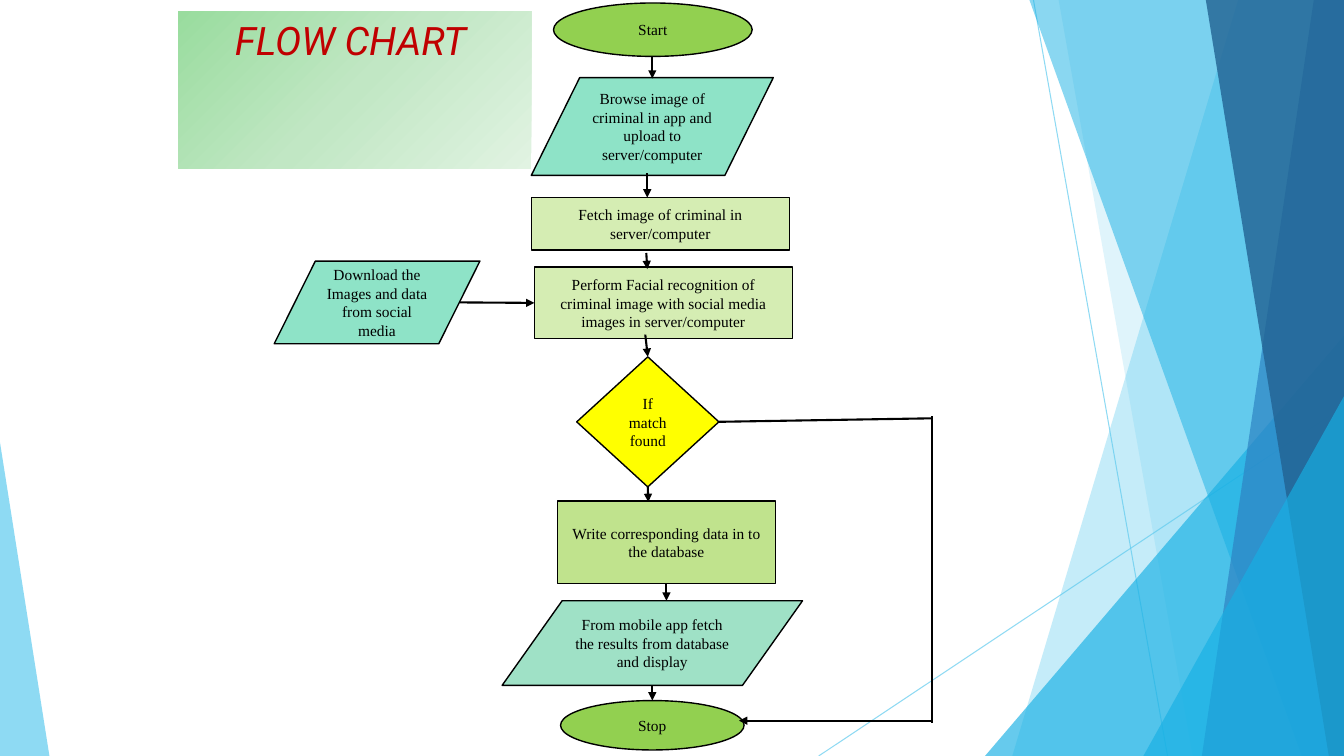
from dataclasses import dataclass
from typing import Optional

from lxml.etree import SubElement
from pptx import Presentation
from pptx.dml.color import RGBColor
from pptx.enum.shapes import MSO_CONNECTOR, MSO_SHAPE
from pptx.enum.text import MSO_ANCHOR, MSO_AUTO_SIZE, PP_ALIGN
from pptx.oxml import parse_xml
from pptx.oxml.ns import nsdecls, qn
from pptx.util import Emu, Pt

SCALE = 9144  # EMU in one px, 100 px to the inch
WIDE, HIGH = 1333, 750


@dataclass(frozen=True)
class Theme:
    ink: str = "000000"
    title: str = "C00000"
    sky: str = "5FCBEF"
    azure: str = "17B0E4"
    blue: str = "2E83C3"
    navy: str = "226292"
    end: str = "92D050"
    data: str = "8EE3C7"
    show: str = "9FE1C6"
    step: str = "D5EDB3"
    store: str = "C0E38D"
    test: str = "FFFF00"
    grad: tuple = ((0, "99DC9E"), (50, "C1E7C4"), (100, "E1F3E2"))
    body: str = "Times New Roman"
    head: str = "Roboto"
    small: float = 11
    large: float = 28
    edge: float = 1
    hair: float = 0.75
    arrow: float = 1.5


T = Theme()


@dataclass(frozen=True)
class Facet:
    points: tuple
    color: str
    alpha: int


@dataclass(frozen=True)
class Wedge:
    box: tuple
    apex: int
    color: str
    alpha: int


@dataclass(frozen=True)
class Node:
    name: str
    kind: MSO_SHAPE
    box: tuple
    fill: str
    text: str


@dataclass(frozen=True)
class Link:
    start: tuple
    stop: tuple
    tip: bool = True
    tail: Optional[tuple] = None  # node and side joined at the start
    head: Optional[tuple] = None  # node and side joined at the end


def right(top: int, foot: int, color: str, alpha: int) -> Facet:
    """Full-height facet that runs to the right slide edge."""
    return Facet(((top, 0), (WIDE, 0), (WIDE, HIGH), (foot, HIGH)), color, alpha)


RAYS = (((1025, 0), (1158, HIGH)), ((WIDE, 403), (812, HIGH)))
DECOR = (
    right(1228, 1004, T.sky, 36),
    Facet(((1050, 0), (WIDE, 0), (WIDE, HIGH), (1183, HIGH)), T.sky, 20),
    Wedge((977, 333, 356, 417), 1, T.azure, 66),
    right(1021, 1291, T.azure, 50),
    right(1303, 1192, T.blue, 70),
    right(1196, 1318, T.navy, 80),
    Wedge((1134, 393, 199, 357), 1, T.azure, 66),
    Wedge((0, 439, 49, 311), 0, T.sky, 70),
)

OVAL, RECT = MSO_SHAPE.OVAL, MSO_SHAPE.RECTANGLE
DATA, TEST = MSO_SHAPE.FLOWCHART_DATA, MSO_SHAPE.DIAMOND
NODES = (
    Node("start", OVAL, (549, 3, 197, 53), T.end, "Start"),
    Node("browse", DATA, (527, 77, 240, 97), T.data,
         "Browse image of criminal in app and upload to server/computer"),
    Node("fetch", RECT, (527, 196, 256, 52), T.step,
         "Fetch image of criminal in server/computer"),
    Node("match", RECT, (530, 265, 256, 71), T.step,
         "Perform Facial recognition of criminal image with social media "
         "images in server/computer"),
    Node("test", TEST, (572, 354, 141, 129), T.test, "If match found"),
    Node("show", DATA, (498, 596, 298, 84), T.show,
         "From mobile app fetch the results from database and display"),
    Node("stop", OVAL, (556, 695, 182, 49), T.end, "Stop"),
    Node("load", DATA, (272, 259, 204, 82), T.data,
         "Download the Images and data from social media"),
    Node("write", RECT, (553, 497, 216, 82), T.store,
         "Write corresponding data in to the database"),
)
LINKS = (
    Link((647, 56), (647, 78)),
    Link((642, 172), (642, 196)),
    Link((641, 251), (642, 267)),
    Link((640, 332), (642, 354), head=("test", 0)),
    Link((643, 483), (643, 498), tail=("test", 2)),
    Link((456, 300), (530, 300), head=("match", 1)),
    Link((713, 417), (924, 415), tip=False, tail=("test", 3)),
    Link((924, 413), (924, 717), tip=False),
    Link((924, 715), (733, 715)),
    Link((661, 579), (661, 596), tail=("write", 2)),
    Link((647, 680), (647, 695)),
)


def px(*nums: int) -> list:
    return [Emu(n * SCALE) for n in nums]


def rgb(code: str) -> RGBColor:
    return RGBColor.from_string(code)


def fade(shape, alpha: int) -> None:
    """Set the opacity, in percent, of every colour on a shape."""
    for tag in shape.element.spPr.iter(qn("a:srgbClr")):
        SubElement(tag, qn("a:alpha"), val=str(alpha * 1000))


def write(para, text: str, font: str, size: float, color: str):
    para.alignment = PP_ALIGN.CENTER
    run = para.add_run()
    run.text = text
    run.font.name, run.font.size = font, Pt(size)
    run.font.color.rgb = rgb(color)
    return run


def draw_line(shapes, start: tuple, stop: tuple, color: str, width: float):
    line = shapes.add_connector(MSO_CONNECTOR.STRAIGHT, *px(*start, *stop))
    line.line.color.rgb = rgb(color)
    line.line.width = Pt(width)
    SubElement(line.element.spPr, qn("a:effectLst"))
    return line


def draw_decor(shapes, part) -> None:
    if isinstance(part, Facet):
        first, *rest = part.points
        form = shapes.build_freeform(*first, scale=SCALE)
        form.add_line_segments(rest, close=True)
        shape = form.convert_to_shape()
    else:
        shape = shapes.add_shape(MSO_SHAPE.ISOSCELES_TRIANGLE, *px(*part.box))
        shape.adjustments[0] = part.apex
    shape.shadow.inherit = False
    shape.fill.solid()
    shape.fill.fore_color.rgb = rgb(part.color)
    shape.line.fill.background()
    fade(shape, part.alpha)


def draw_node(shapes, node: Node):
    shape = shapes.add_shape(node.kind, *px(*node.box))
    shape.shadow.inherit = False
    shape.fill.solid()
    shape.fill.fore_color.rgb = rgb(node.fill)
    shape.line.color.rgb = rgb(T.ink)
    shape.line.width = Pt(T.edge)
    frame = shape.text_frame
    frame.word_wrap = True
    frame.vertical_anchor = MSO_ANCHOR.MIDDLE
    write(frame.paragraphs[0], node.text, T.body, T.small, T.ink)
    return shape


def draw_link(shapes, link: Link, made: dict) -> None:
    line = draw_line(shapes, link.start, link.stop, T.ink, T.arrow)
    if link.tip:
        SubElement(line.element.spPr.find(qn("a:ln")), qn("a:tailEnd"), type="triangle")
    if link.tail:
        line.begin_connect(made[link.tail[0]], link.tail[1])
    if link.head:
        line.end_connect(made[link.head[0]], link.head[1])


def draw_title(title) -> None:
    title.left, title.top, title.width, title.height = px(177, 11, 350, 57)
    stops = "".join(f'<a:gs pos="{pos * 1000}"><a:srgbClr val="{code}"/></a:gs>'
                    for pos, code in T.grad)
    title.element.spPr.append(parse_xml(
        f'<a:gradFill {nsdecls("a")}><a:gsLst>{stops}</a:gsLst><a:path path="circle">'
        '<a:fillToRect r="100000" b="100000"/></a:path></a:gradFill>'))
    frame = title.text_frame
    frame.word_wrap = True
    frame.auto_size = MSO_AUTO_SIZE.SHAPE_TO_FIT_TEXT
    frame.vertical_anchor = MSO_ANCHOR.TOP
    run = write(frame.paragraphs[0], "FLOW CHART ", T.head, T.large, T.title)
    run.font.italic = True


def main() -> None:
    deck = Presentation()
    deck.slide_width, deck.slide_height = px(WIDE, HIGH)
    shapes = deck.slides.add_slide(deck.slide_layouts[5]).shapes
    # Backdrop
    for start, stop in RAYS:
        fade(draw_line(shapes, start, stop, T.sky, T.hair), 70)
    for part in DECOR:
        draw_decor(shapes, part)
    # Flow chart
    made = {node.name: draw_node(shapes, node) for node in NODES}
    for link in LINKS:
        draw_link(shapes, link, made)
    # Heading
    draw_title(shapes.title)
    deck.save("out.pptx")


if __name__ == "__main__":
    main()
